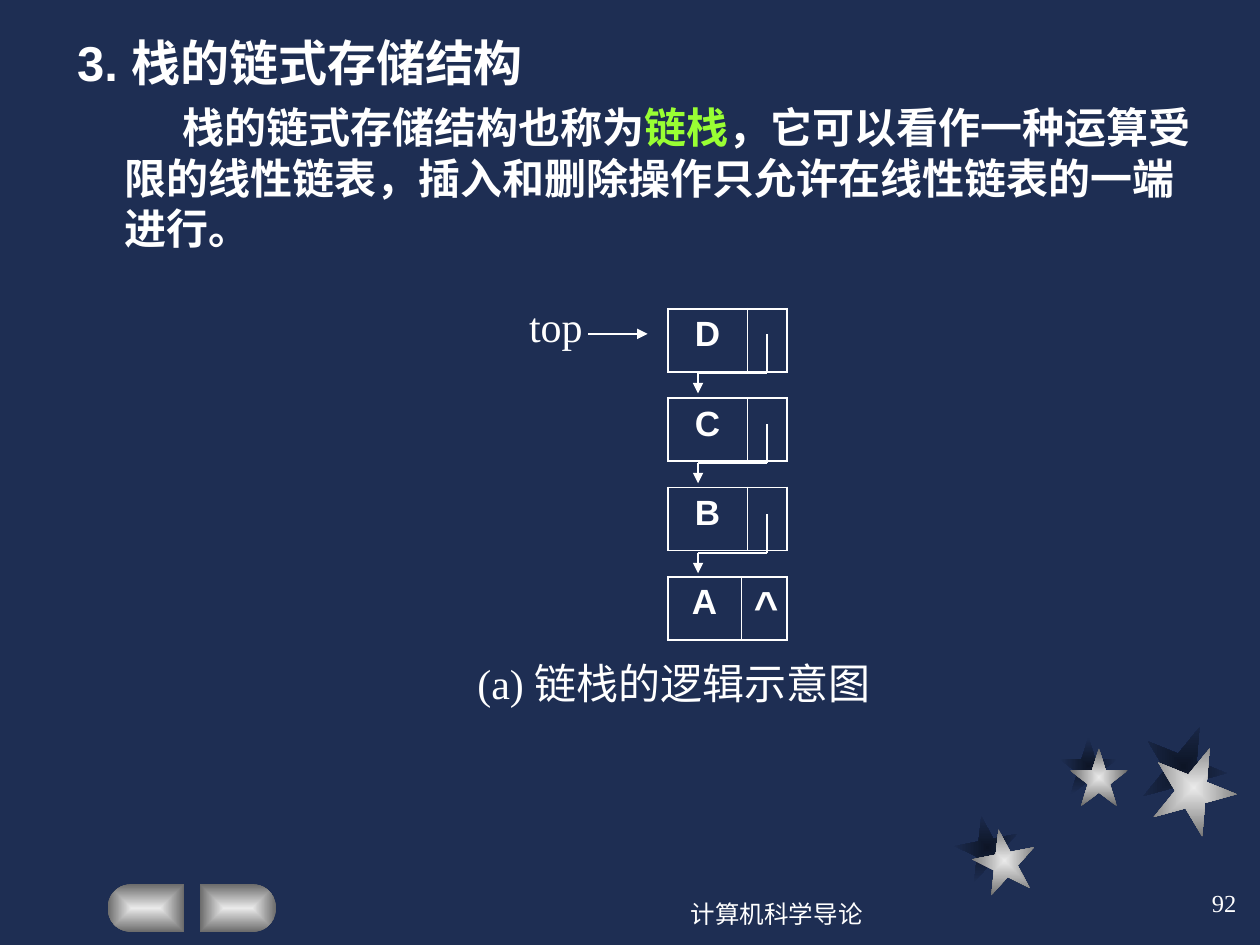
import math

from lxml import etree
from pptx import Presentation
from pptx import util as u
from pptx.dml.color import RGBColor
from pptx.enum import shapes, text
from pptx.oxml import parse_xml
from pptx.oxml.ns import nsdecls, qn

Pt = u.Pt
COLORS = {"navy": "1E2E53", "dark": "0D1526", "silver": "EAEAEA",
          "gray": "6B6B6B", "white": "FFFFFF", "green": "99FF33"}

presentation = Presentation()
presentation.slide_width, presentation.slide_height = Pt(720), Pt(540)
slide = presentation.slides.add_slide(presentation.slide_layouts[6])
slide.background.fill.solid()
slide.background.fill.fore_color.rgb = RGBColor.from_string(COLORS["navy"])


def add_run(paragraph, words, size, font, bold=False, color="white"):
    run = paragraph.add_run()
    run.text = words
    run.font.size, run.font.name, run.font.bold = Pt(size), font, bold
    run.font.color.rgb = RGBColor.from_string(COLORS[color])


def fill_from_center(shape, inner, outer):
    """Gradient that runs from the middle of the shape to its edges."""
    shape.shadow.inherit = False
    shape.line.fill.background()
    shape.fill.background()
    no_fill = shape._element.spPr.find(qn("a:noFill"))
    gradient = parse_xml(
        f'<a:gradFill {nsdecls("a")} rotWithShape="1"><a:gsLst>'
        f'<a:gs pos="0"><a:srgbClr val="{COLORS[inner]}"/></a:gs>'
        f'<a:gs pos="100000"><a:srgbClr val="{COLORS[outer]}"/></a:gs></a:gsLst>'
        '<a:path path="rect"><a:fillToRect l="50000" t="50000" r="50000" b="50000"/>'
        '</a:path></a:gradFill>')
    no_fill.getparent().replace(no_fill, gradient)


# Stars: dark ones behind, silver ones in front (left, top, size, rotation)
star_groups = [
    ("dark", "navy", [(546.2, 466.2, 36, 349), (605.5, 421.2, 33, 0), (652.3, 414, 48.2, 22)]),
    ("silver", "gray", [(556, 473.8, 36, 349), (611.5, 427.7, 33, 0), (658.1, 426, 48.2, 22)]),
]
for inner, outer, stars in star_groups:
    for left, top, size, rotation in stars:
        star = slide.shapes.add_shape(shapes.MSO_SHAPE.STAR_5_POINT,
                                      Pt(left), Pt(top), Pt(size), Pt(size))
        star.rotation = rotation
        fill_from_center(star, inner, outer)

# Navigation buttons: one flat side, one round side, mirrored
button_top, button_width, radius = 505.2, 43.6, 13.7
for flat_x, side in [(105.1, -1), (114.2, 1)]:
    center_x = flat_x + side * (button_width - radius)
    outline = [(center_x + side * radius * math.cos(math.radians(angle)),
                button_top + radius + radius * math.sin(math.radians(angle)))
               for angle in range(-90, 91, 10)]
    outline.append((flat_x, button_top + 2 * radius))
    builder = slide.shapes.build_freeform(Pt(flat_x), Pt(button_top))
    builder.add_line_segments([(Pt(x), Pt(y)) for x, y in outline])
    fill_from_center(builder.convert_to_shape(), "silver", "gray")

# Heading and explanation
body = slide.shapes.add_textbox(Pt(37), Pt(15), Pt(652.3), Pt(147.6)).text_frame
body.word_wrap = True
heading = body.paragraphs[0]
explanation = body.add_paragraph()
explanation.space_before = Pt(6)
for paragraph, indent in [(heading, -27), (explanation, 33)]:
    properties = paragraph._p.get_or_add_pPr()
    properties.set("marL", str(Pt(27)))
    properties.set("indent", str(Pt(indent)))
add_run(heading, "3. 栈的链式存储结构", 28, "Arial", True)
for words, color in [("栈的链式存储结构也称为", "white"), ("链栈", "green"),
                     ("，它可以看作一种运算受限的线性链表，插入和删除操作只允许在线性链表的一端进行。", "white")]:
    add_run(explanation, words, 24, "Arial", True, color)

# Labels, footer and page number; labels that do not wrap grow with their text
align, anchor, auto_size = text.PP_ALIGN, text.MSO_ANCHOR, text.MSO_AUTO_SIZE
labels = [
    ("top", 295.2, 168, 46, 24, align.LEFT, anchor.TOP, False),
    ("(a) 链栈的逻辑示意图", 265.7, 372.2, 244.8, 24, align.LEFT, anchor.TOP, False),
    ("计算机科学导论", 329.8, 504, 228.2, 14, align.CENTER, anchor.MIDDLE, True),
    ("92", 563.8, 498, 149.8, 14, align.RIGHT, anchor.MIDDLE, True),
]
for words, left, top, width, size, alignment, vertical, wrap in labels:
    frame = slide.shapes.add_textbox(Pt(left), Pt(top), Pt(width), Pt(36)).text_frame
    frame.word_wrap, frame.vertical_anchor = wrap, vertical
    frame.auto_size = auto_size.NONE if wrap else auto_size.SHAPE_TO_FIT_TEXT
    frame.paragraphs[0].alignment = alignment
    add_run(frame.paragraphs[0], words, size, "Times New Roman")

# Stack nodes: a data cell and a pointer cell each
node_left, node_top, node_step, node_width, node_height = 381.6, 176.4, 51.1, 68.2, 36
nodes = [("D", "", 45.4), ("C", "", 45.4), ("B", "", 45.4), ("A", "^", 42)]
for index, (data, pointer, data_width) in enumerate(nodes):
    table = slide.shapes.add_table(1, 2, Pt(node_left), Pt(node_top + index * node_step),
                                   Pt(node_width), Pt(node_height)).table
    table.first_row = table.horz_banding = False
    table.columns[0].width = Pt(data_width)
    table.columns[1].width = Pt(node_width - data_width)
    for column, (words, size) in enumerate([(data, 20), (pointer, 24)]):
        cell = table.cell(0, column)
        cell.fill.background()
        cell.margin_left = cell.margin_right = Pt(7.2)
        paragraph = cell.text_frame.paragraphs[0]
        paragraph.alignment = align.CENTER
        if words:
            add_run(paragraph, words, size, "Arial", True)
        inner_side = "lnL" if column else "lnR"
        for position, side in enumerate(["lnL", "lnR", "lnT", "lnB"]):
            width = 0.45 if side == inner_side else 1.08
            cell._tc.get_or_add_tcPr().insert(position, parse_xml(
                f'<a:{side} {nsdecls("a")} w="{Pt(width)}"><a:solidFill>'
                f'<a:srgbClr val="{COLORS["white"]}"/></a:solidFill></a:{side}>'))

# Top arrow, then the three-part link from each node to the next
lines = [(336.2, 190.8, 370.1, 190.8, True)]
pointer_x, target_x = 438.5, 398.9
for index in range(len(nodes) - 1):
    start_y = 190.8 + index * 51.4
    bend_y = start_y + 22.4
    lines += [(pointer_x, start_y, pointer_x, bend_y, False),
              (target_x, bend_y, pointer_x, bend_y, False),
              (target_x, bend_y, target_x, bend_y + 11.6, True)]
for x1, y1, x2, y2, has_arrow in lines:
    connector = slide.shapes.add_connector(shapes.MSO_CONNECTOR.STRAIGHT,
                                           Pt(x1), Pt(y1), Pt(x2), Pt(y2))
    connector.line.width = Pt(1)
    connector.line.color.rgb = RGBColor.from_string(COLORS["white"])
    if has_arrow:
        etree.SubElement(connector.line._get_or_add_ln(), qn("a:tailEnd"), type="triangle")
    etree.SubElement(connector._element.spPr, qn("a:effectLst"))

presentation.save("out.pptx")
